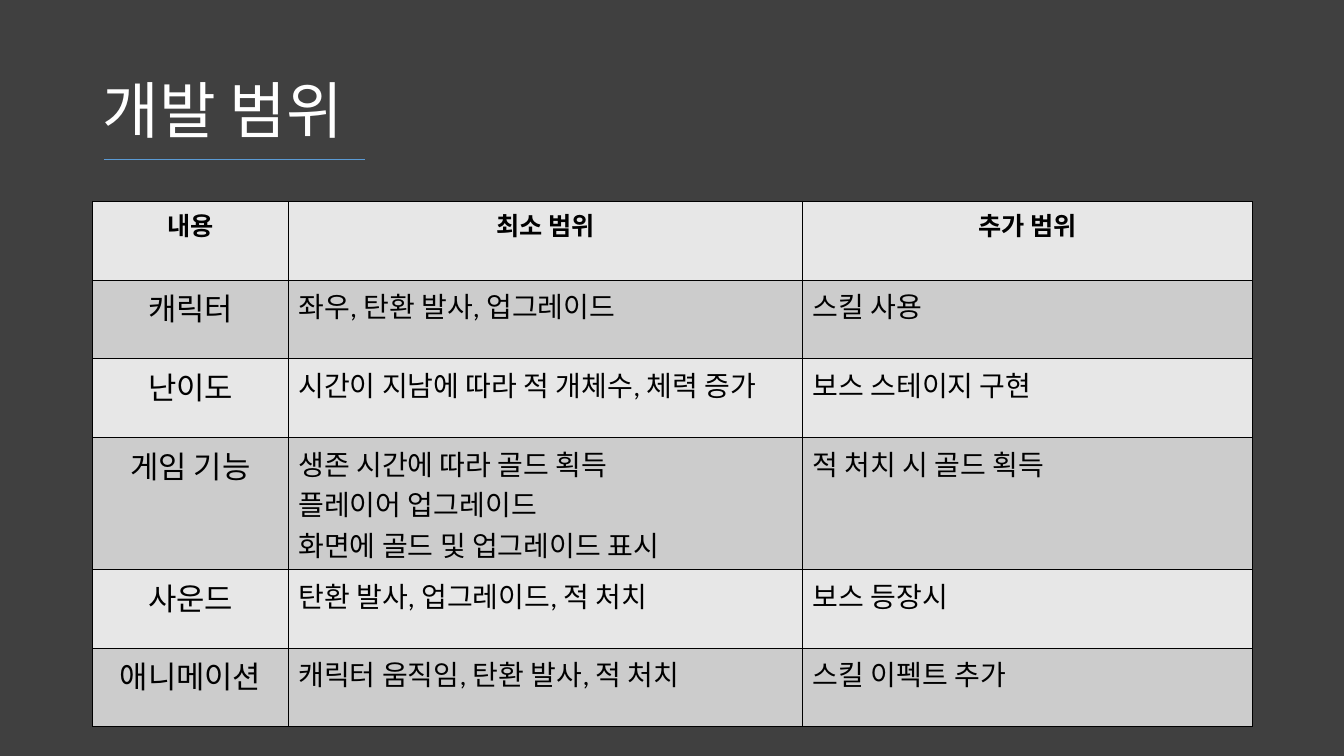
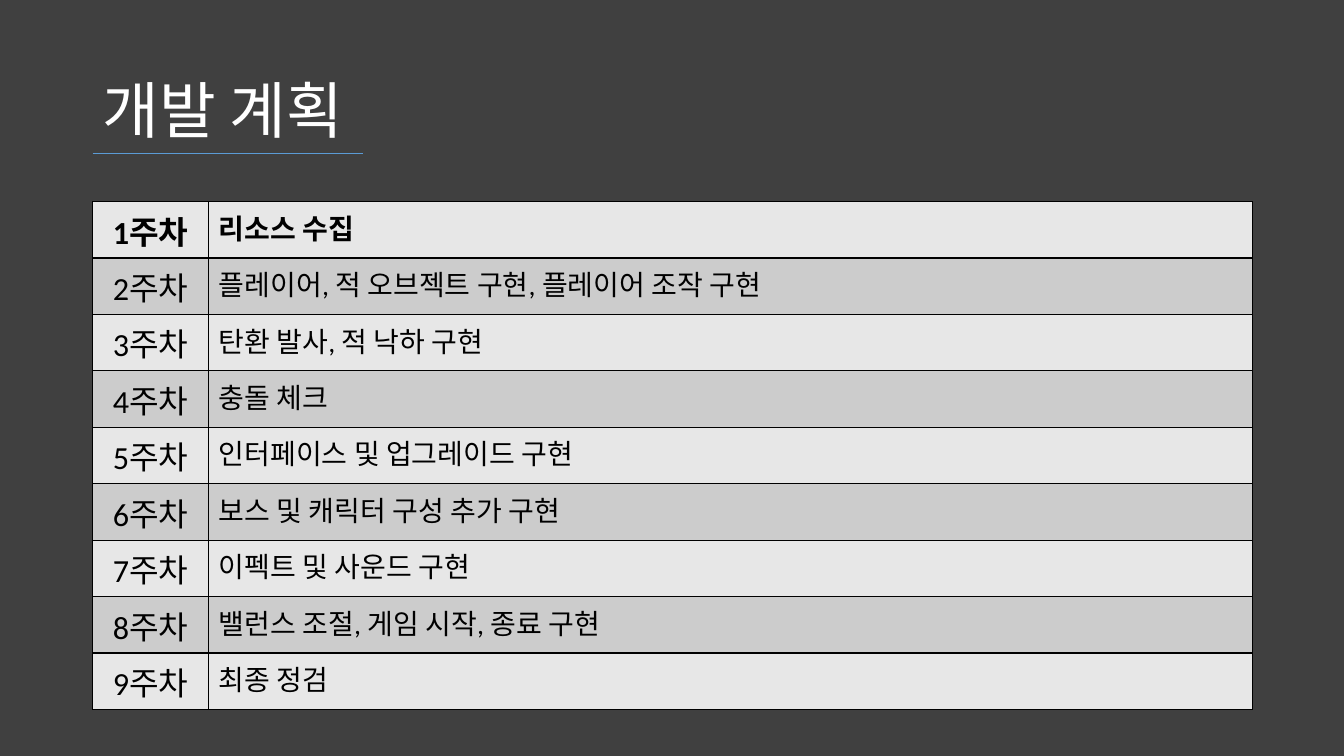
"""Build the scope and schedule slides of a game development plan."""
from dataclasses import dataclass

from lxml.etree import SubElement
from pptx import Presentation
from pptx.dml.color import RGBColor
from pptx.enum.shapes import MSO_CONNECTOR
from pptx.enum.text import MSO_ANCHOR, PP_ALIGN
from pptx.oxml.ns import qn
from pptx.util import Inches, Pt


@dataclass(frozen=True)
class Theme:
    """Colours, font and type sizes shared by the slides."""

    font: str = "Calibri"
    background: RGBColor = RGBColor(0x40, 0x40, 0x40)
    title: RGBColor = RGBColor(0xFF, 0xFF, 0xFF)
    text: RGBColor = RGBColor(0x00, 0x00, 0x00)
    accent: RGBColor = RGBColor(0x5B, 0x9B, 0xD5)
    bands: tuple = (RGBColor(0xE7, 0xE7, 0xE7), RGBColor(0xCC, 0xCC, 0xCC))
    title_size: int = 44
    heading_size: int = 18
    body_size: int = 20
    scope_label_size: int = 22
    week_label_size: int = 23


THEME = Theme()
LEFT, WIDTH = 0.92, 11.5
LINE_HEIGHT, CELL_PADDING = 0.4, 0.11

SCOPE_ROWS = [
    ("내용", "최소 범위", "추가 범위"),
    ("캐릭터", "좌우, 탄환 발사, 업그레이드", "스킬 사용"),
    ("난이도", "시간이 지남에 따라 적 개체수, 체력 증가", "보스 스테이지 구현"),
    (
        "게임 기능",
        "생존 시간에 따라 골드 획득\n플레이어 업그레이드\n화면에 골드 및 업그레이드 표시",
        "적 처치 시 골드 획득",
    ),
    ("사운드", "탄환 발사, 업그레이드, 적 처치", "보스 등장시"),
    ("애니메이션", "캐릭터 움직임, 탄환 발사, 적 처치", "스킬 이펙트 추가"),
]

WEEKLY_TASKS = [
    "리소스 수집",
    "플레이어, 적 오브젝트 구현, 플레이어 조작 구현",
    "탄환 발사, 적 낙하 구현",
    "충돌 체크",
    "인터페이스 및 업그레이드 구현",
    "보스 및 캐릭터 구성 추가 구현",
    "이펙트 및 사운드 구현",
    "밸런스 조절, 게임 시작, 종료 구현",
    "최종 정검",
]


def style_paragraph(paragraph, size, color, bold=False, alignment=PP_ALIGN.LEFT):
    """Set the font and alignment of a paragraph."""
    paragraph.alignment = alignment
    font = paragraph.font
    font.name = THEME.font
    font.size = Pt(size)
    font.bold = bold
    font.color.rgb = color


def add_title(slide, text):
    """Add the slide title."""
    box = slide.shapes.add_textbox(Inches(LEFT), Inches(0.4), Inches(WIDTH), Inches(1.45))
    frame = box.text_frame
    frame.word_wrap = True
    frame.vertical_anchor = MSO_ANCHOR.MIDDLE
    frame.text = text
    paragraph = frame.paragraphs[0]
    paragraph.line_spacing = 0.9
    style_paragraph(paragraph, THEME.title_size, THEME.title)


def add_underline(slide, start, end, top):
    """Add a thin horizontal line below the title."""
    line = slide.shapes.add_connector(
        MSO_CONNECTOR.STRAIGHT, Inches(start), Inches(top), Inches(end), Inches(top)
    )
    line.line.color.rgb = THEME.accent
    line.line.width = Pt(0.5)
    SubElement(line._element.spPr, qn("a:effectLst"))


def add_borders(cell):
    """Outline a cell on all four sides."""
    properties = cell._tc.get_or_add_tcPr()
    for side in ("a:lnL", "a:lnR", "a:lnT", "a:lnB"):
        border = SubElement(properties, qn(side), w=str(Pt(1)))
        fill = SubElement(border, qn("a:solidFill"))
        SubElement(fill, qn("a:srgbClr"), val=str(THEME.text))


def fill_cell(cell, text, size, band, bold, alignment):
    """Write and format one table cell."""
    add_borders(cell)
    cell.fill.solid()
    cell.fill.fore_color.rgb = band
    cell.text = text
    for paragraph in cell.text_frame.paragraphs:
        style_paragraph(paragraph, size, THEME.text, bold, alignment)


def fit_row_height(texts, minimum):
    """Return a row height that holds the tallest cell text."""
    line_count = max(len(text.splitlines()) for text in texts)
    return max(minimum, CELL_PADDING + LINE_HEIGHT * line_count)


def add_banded_table(slide, rows, widths, row_height, label_size, has_headings=False):
    """Add a table with a bold first row and a centred label column."""
    heights = [fit_row_height(texts, row_height) for texts in rows]
    table = slide.shapes.add_table(
        len(rows), len(widths), Inches(LEFT), Inches(2),
        Inches(WIDTH), Inches(sum(heights)),
    ).table
    table.horz_banding = False
    for column, width in zip(table.columns, widths):
        column.width = Inches(width)
    for row_index, texts in enumerate(rows):
        table.rows[row_index].height = Inches(heights[row_index])
        band = THEME.bands[row_index % 2]
        is_first = row_index == 0
        is_heading = has_headings and is_first
        for column_index, text in enumerate(texts):
            is_label = column_index == 0
            size = label_size if is_label else THEME.body_size
            if is_heading:
                size = THEME.heading_size
            alignment = PP_ALIGN.CENTER if is_label or is_heading else PP_ALIGN.LEFT
            cell = table.cell(row_index, column_index)
            fill_cell(cell, text, size, band, is_first, alignment)


def add_slide(presentation, title):
    """Add a blank slide with its title."""
    slide = presentation.slides.add_slide(presentation.slide_layouts[6])
    add_title(slide, title)
    return slide


def add_scope_slide(presentation):
    """Add the development scope slide."""
    slide = add_slide(presentation, "개발 범위")
    add_banded_table(
        slide, SCOPE_ROWS, (1.94, 5.1, 4.46), 0.78, THEME.scope_label_size, has_headings=True
    )
    add_underline(slide, 1.03, 3.62, 1.58)


def add_schedule_slide(presentation):
    """Add the weekly development plan slide."""
    slide = add_slide(presentation, "개발 계획")
    rows = [(f"{week}주차", task) for week, task in enumerate(WEEKLY_TASKS, start=1)]
    add_banded_table(slide, rows, (1.15, 10.35), 0.56, THEME.week_label_size)
    add_underline(slide, LEFT, 3.6, 1.52)


def main():
    """Build and save the presentation."""
    presentation = Presentation()
    presentation.slide_width = Inches(13.33)
    presentation.slide_height = Inches(7.5)
    background = presentation.slide_master.background.fill
    background.solid()
    background.fore_color.rgb = THEME.background
    add_scope_slide(presentation)
    add_schedule_slide(presentation)
    presentation.save("out.pptx")


if __name__ == "__main__":
    main()
